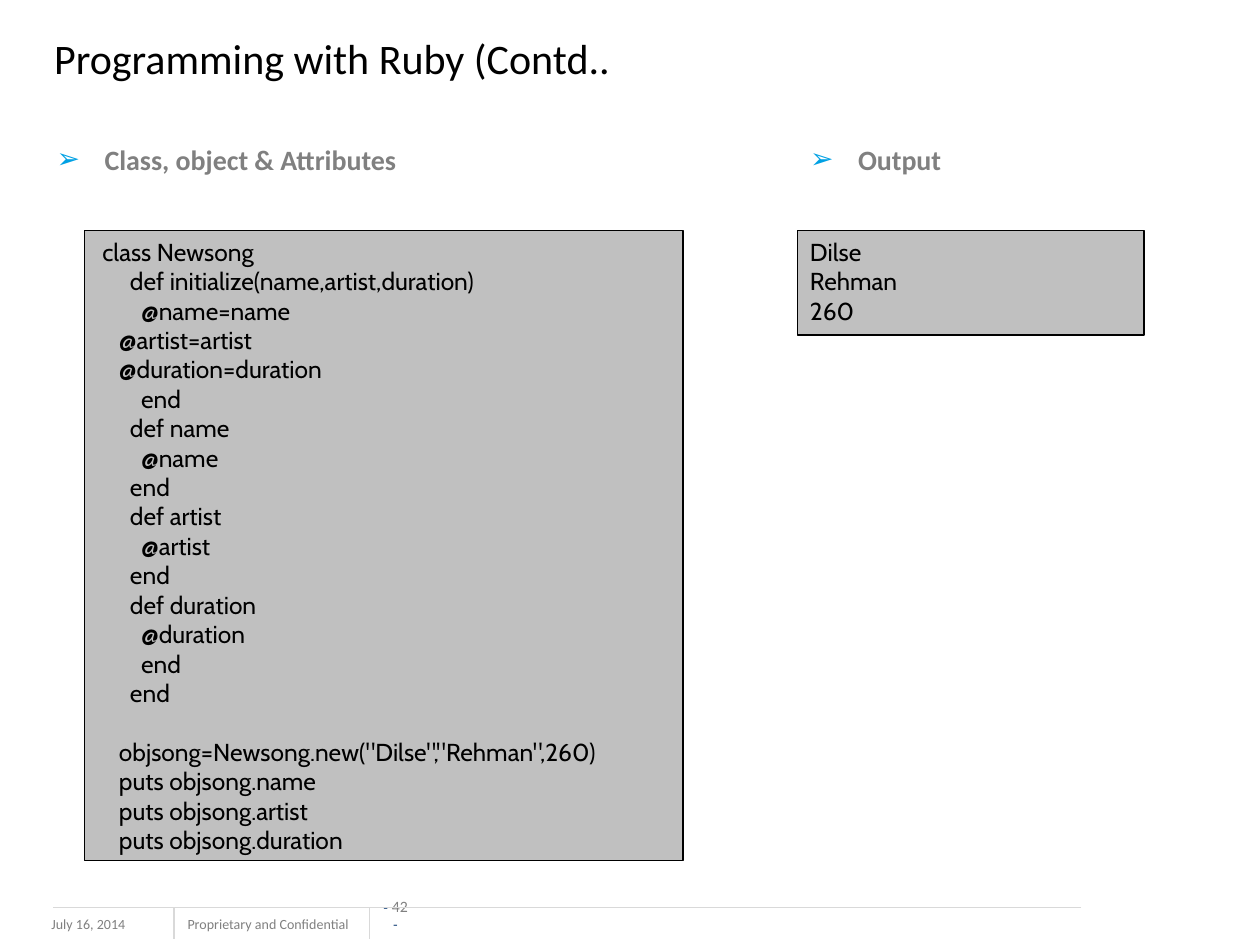
from lxml.etree import SubElement
from pptx import Presentation
from pptx.dml.color import RGBColor
from pptx.enum.shapes import MSO_CONNECTOR, MSO_SHAPE
from pptx.enum.text import MSO_ANCHOR, MSO_AUTO_SIZE, PP_ALIGN
from pptx.oxml.ns import qn
from pptx.util import Inches, Pt


def color(hex_string):
    return RGBColor.from_string(hex_string)


def style(font, name, size, hex_string, bold=False):
    font.name = name
    font.size = Pt(size)
    font.color.rgb = color(hex_string)
    font.bold = bold


presentation = Presentation()
presentation.slide_width = Inches(10)
presentation.slide_height = Inches(7.5)
slide = presentation.slides.add_slide(presentation.slide_layouts[3])

footers = [
    ("July 16, 2014", 0.31, 1.33, True),
    ("Proprietary and Confidential", 1.39, 1.57, False),
]
for text, left, width, wrap in footers:
    footer = slide.shapes.add_textbox(Inches(left), Inches(7.22), Inches(width), Inches(0.25))
    footer.text_frame.word_wrap = wrap
    paragraph = footer.text_frame.paragraphs[0]
    paragraph.text = text
    style(paragraph.font, "Calibri", 8, "808080")

page_number = slide.shapes.add_textbox(Inches(3.01), Inches(7.25), Inches(0.26), Inches(0.15))
frame = page_number.text_frame
frame.margin_left = frame.margin_top = frame.margin_right = frame.margin_bottom = 0
frame.word_wrap = True
frame.auto_size = MSO_AUTO_SIZE.SHAPE_TO_FIT_TEXT
frame.vertical_anchor = MSO_ANCHOR.BOTTOM
paragraph = frame.paragraphs[0]
paragraph.alignment = PP_ALIGN.CENTER
for text, name, size, hex_string in [
    ("- ", "Arial", 8, "1F497D"),
    ("42 ", "Calibri", 9, "808080"),
    ("-", "Arial", 8, "1F497D"),
]:
    run = paragraph.add_run()
    run.text = text
    style(run.font, name, size, hex_string)

for start_x, end_x, end_y in [(8.58, 0.42, 7.2), (1.38, 1.38, 7.45), (2.93, 2.93, 7.45)]:
    rule = slide.shapes.add_connector(
        MSO_CONNECTOR.STRAIGHT, Inches(start_x), Inches(7.2), Inches(end_x), Inches(end_y)
    )
    rule.line.color.rgb = color("D9D9D9")
    rule.line.width = Pt(0.75)
    SubElement(rule._element.spPr, qn("a:effectLst"))

title = slide.shapes.title
title.left, title.top, title.width, title.height = Inches(0.33), Inches(0.02), Inches(9), Inches(0.87)
title.text_frame.vertical_anchor = MSO_ANCHOR.MIDDLE
paragraph = title.text_frame.paragraphs[0]
paragraph.text = "Programming with Ruby (Contd.."
paragraph.alignment = PP_ALIGN.LEFT
style(paragraph.font, "Calibri", 24, "000000")

headings = [(1, "Class, object & Attributes", 0.35, 5.73), (2, "Output", 6.33, 2.75)]
for index, text, left, width in headings:
    heading = slide.placeholders[index]
    heading.left, heading.top = Inches(left), Inches(1.08)
    heading.width, heading.height = Inches(width), Inches(4.5)
    paragraph = heading.text_frame.paragraphs[0]
    paragraph.text = text
    properties = paragraph._p.get_or_add_pPr()
    properties.set("marL", str(Inches(0.38)))
    properties.set("indent", str(Inches(-0.38)))
    bullet_color = SubElement(properties, qn("a:buClr"))
    SubElement(bullet_color, qn("a:srgbClr"), val="00A1E4")
    SubElement(properties, qn("a:buChar"), char="➢")
    paragraph.space_before = Pt(0)
    style(paragraph.font, "Calibri", 16, "808080", True)

code = """ class Newsong
      def initialize(name,artist,duration)
        @name=name
    @artist=artist
    @duration=duration
        end
      def name
        @name
      end
      def artist
        @artist
      end
      def duration
        @duration
        end
      end
      
    objsong=Newsong.new("Dilse","Rehman",260)
    puts objsong.name
    puts objsong.artist
    puts objsong.duration"""
output = "Dilse\nRehman\n260"

for text, left, width, height in [(code, 0.67, 4.75, 5), (output, 6.33, 2.75, 0.83)]:
    panel = slide.shapes.add_shape(
        MSO_SHAPE.RECTANGLE, Inches(left), Inches(1.83), Inches(width), Inches(height)
    )
    panel.shadow.inherit = False
    panel.fill.solid()
    panel.fill.fore_color.rgb = color("C0C0C0")
    panel.line.color.rgb = color("000000")
    panel.line.width = Pt(0.75)
    panel.text_frame.vertical_anchor = MSO_ANCHOR.TOP
    panel.text_frame.text = text
    for paragraph in panel.text_frame.paragraphs:
        paragraph.alignment = PP_ALIGN.LEFT
        style(paragraph.font, "Cabin", 14, "000000")

presentation.save("out.pptx")
